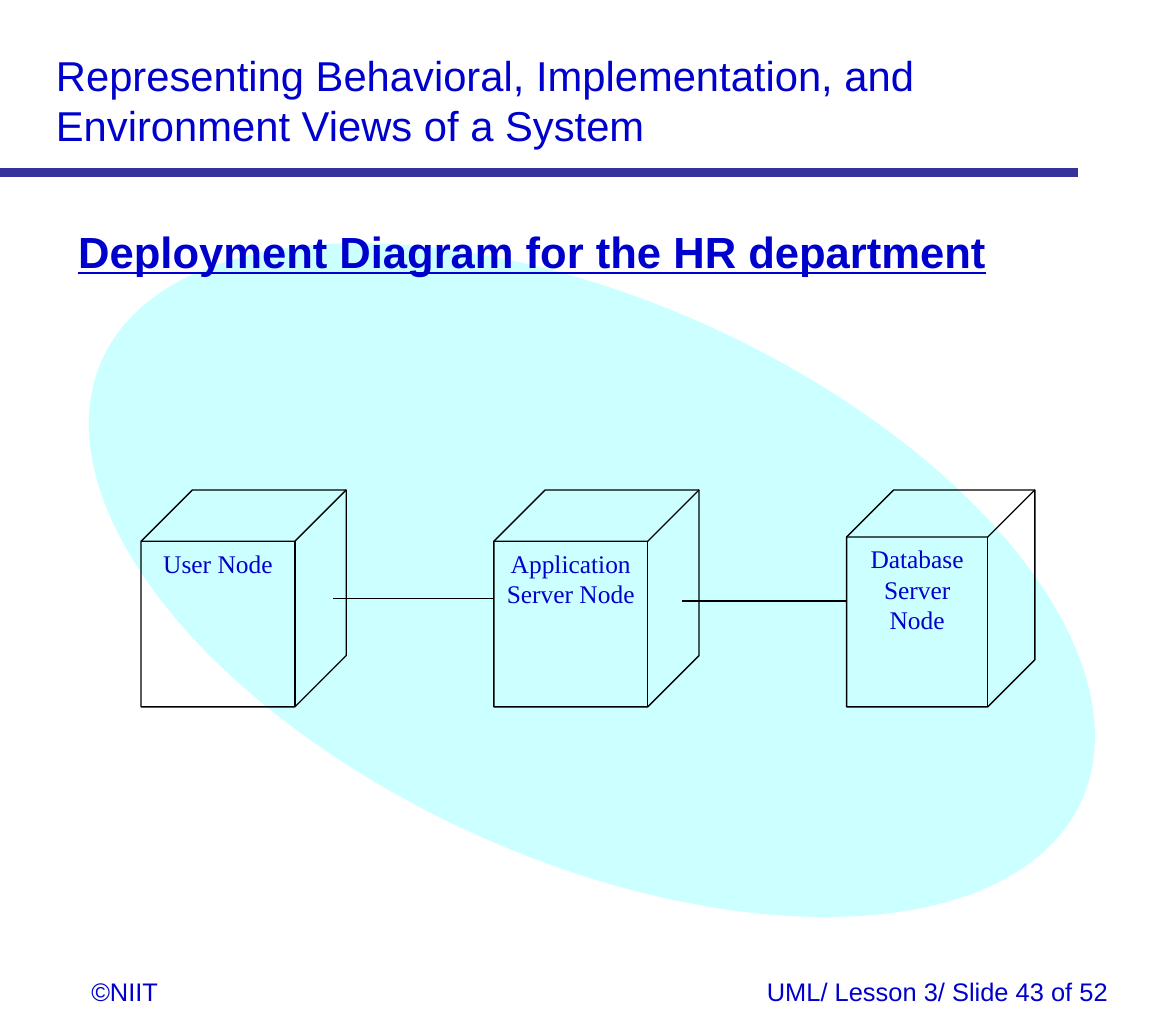
from pptx import Presentation
from pptx.dml.color import RGBColor
from pptx.enum.shapes import MSO_CONNECTOR, MSO_SHAPE
from pptx.enum.text import MSO_ANCHOR, PP_ALIGN
from pptx.oxml.ns import qn
from pptx.util import Inches, Pt
from lxml.etree import SubElement

TEXT_BLUE = RGBColor(0x00, 0x00, 0xCC)
RULE_BLUE = RGBColor(0x33, 0x33, 0x99)
PALE_CYAN = RGBColor(0xCC, 0xFF, 0xFF)
BLACK = RGBColor(0x00, 0x00, 0x00)


class DiagramSlide:
    heading_font = "Arial"
    node_font = "Times New Roman"
    outline = 0.75

    def __init__(self, slide):
        self.slide = slide

    def add_words(self, frame, words, size, font, align, strong=False):
        frame.word_wrap = True
        frame.vertical_anchor = MSO_ANCHOR.TOP
        paragraph = frame.paragraphs[0]
        paragraph.alignment = align
        run = paragraph.add_run()
        run.text = words
        run.font.size = Pt(size)
        run.font.name = font
        run.font.color.rgb = TEXT_BLUE
        run.font.bold = strong
        run.font.underline = strong

    def text(self, words, left, top, width, height, size, align=PP_ALIGN.LEFT, strong=False):
        box = self.slide.shapes.add_textbox(
            Inches(left), Inches(top), Inches(width), Inches(height))
        self.add_words(box.text_frame, words, size, self.heading_font, align, strong)

    def ellipse(self, left, top, width, height, rotation):
        oval = self.slide.shapes.add_shape(
            MSO_SHAPE.OVAL, Inches(left), Inches(top), Inches(width), Inches(height))
        oval.shadow.inherit = False
        oval.rotation = rotation
        oval.fill.solid()
        oval.fill.fore_color.rgb = PALE_CYAN
        oval.line.fill.background()

    def node(self, words, left, top, width, height):
        cube = self.slide.shapes.add_shape(
            MSO_SHAPE.CUBE, Inches(left), Inches(top), Inches(width), Inches(height))
        cube.shadow.inherit = False
        cube.adjustments[0] = 0.25
        cube.fill.background()
        cube.line.color.rgb = BLACK
        cube.line.width = Pt(self.outline)
        self.add_words(cube.text_frame, words, 14, self.node_font, PP_ALIGN.CENTER)

    def line(self, start, end, y, color=BLACK, width=outline):
        connector = self.slide.shapes.add_connector(
            MSO_CONNECTOR.STRAIGHT, Inches(start), Inches(y), Inches(end), Inches(y))
        connector.line.color.rgb = color
        connector.line.width = Pt(width)
        SubElement(connector._element.spPr, qn("a:effectLst"))


def main():
    presentation = Presentation()
    presentation.slide_width = Inches(9)
    presentation.slide_height = Inches(7.89)
    page = DiagramSlide(presentation.slides.add_slide(presentation.slide_layouts[6]))

    page.ellipse(2.39, 0.33, 4.28, 8.22, 294.2)
    page.text("Representing Behavioral, Implementation, and Environment Views of a System",
              0.33, 0.33, 7.8, 0.87, 23)
    page.text("©NIIT", 0.6, 7.42, 1.12, 0.34, 14)
    page.text("UML/ Lesson 3/ Slide 43 of 52", 1.25, 7.42, 7.33, 0.34, 14, PP_ALIGN.RIGHT)
    page.line(0, 8.25, 1.32, RULE_BLUE, 5)
    page.text("Deployment Diagram for the HR department",
              0.5, 1.67, 7.95, 0.5, 24, strong=True)

    nodes = [("User Node", 1.57), ("Application Server Node", 1.57),
             ("Database Server Node", 1.44)]
    first_left, node_pitch = 1.08, 2.7
    for index, (label, width) in enumerate(nodes):
        page.node(label, first_left + index * node_pitch, 3.75, width, 1.66)

    page.line(2.55, first_left + node_pitch, 4.58)
    page.line(5.22, first_left + 2 * node_pitch, 4.6)

    presentation.save("out.pptx")


if __name__ == "__main__":
    main()
